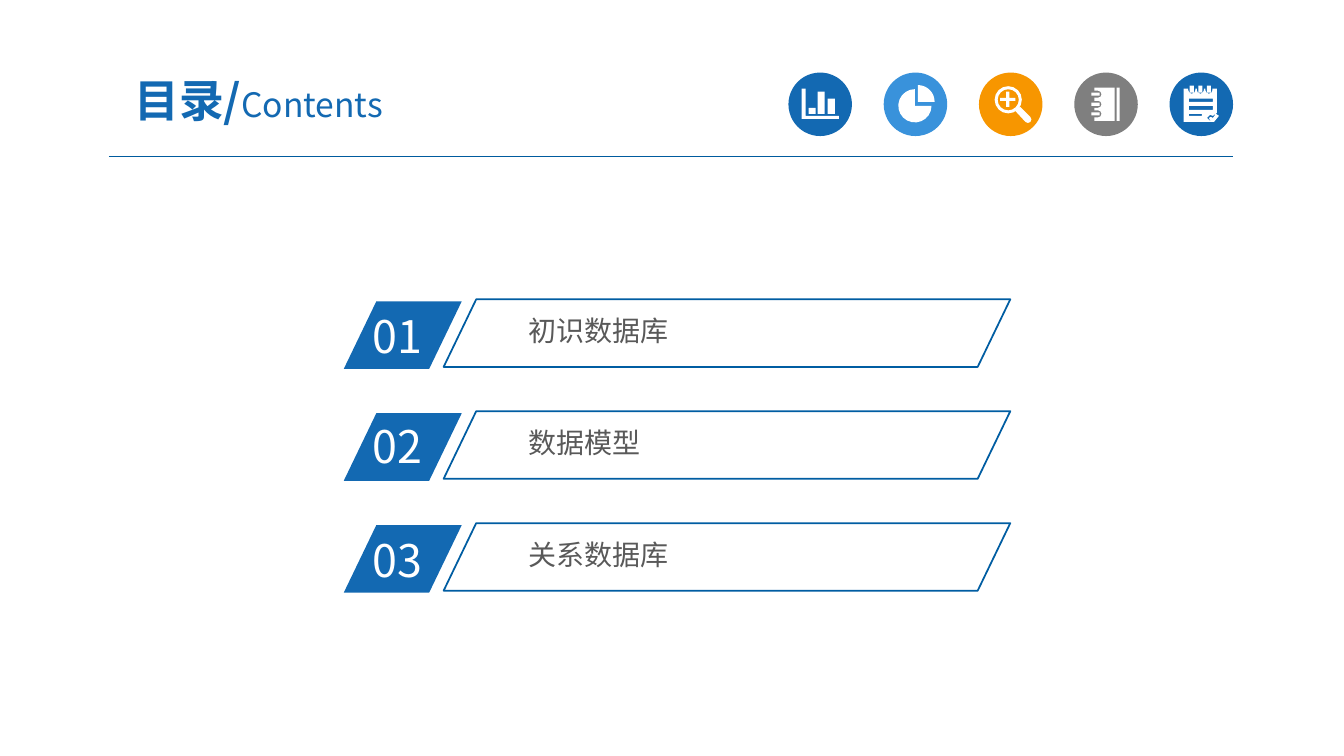
from dataclasses import dataclass
from math import cos, radians, sin

from lxml import etree
from pptx import Presentation
from pptx.dml.color import RGBColor
from pptx.enum.shapes import MSO_CONNECTOR, MSO_SHAPE
from pptx.enum.text import MSO_ANCHOR, MSO_AUTO_SIZE, PP_ALIGN
from pptx.oxml.ns import qn
from pptx.util import Inches, Pt

OVAL, SLANTED = MSO_SHAPE.OVAL, MSO_SHAPE.PARALLELOGRAM
STRAIGHT = MSO_CONNECTOR.STRAIGHT
MIDDLE, CENTER = MSO_ANCHOR.MIDDLE, PP_ALIGN.CENTER
GROW, FIXED = MSO_AUTO_SIZE.SHAPE_TO_FIT_TEXT, MSO_AUTO_SIZE.NONE

BLUE = RGBColor(0x13, 0x69, 0xB2)
SKY = RGBColor(0x39, 0x92, 0xDB)
ORANGE = RGBColor(0xF7, 0x96, 0x00)
GRAY = RGBColor(0x7F, 0x7F, 0x7F)
WHITE = RGBColor(0xFF, 0xFF, 0xFF)
RULE_BLUE = RGBColor(0x00, 0x5B, 0x9E)
FRAME_BLUE = RGBColor(0x00, 0x5D, 0xA2)
TEXT_GRAY = RGBColor(0x59, 0x59, 0x59)
FONT = "Noto Sans CJK SC"

Contour = list[tuple[float, float]]


@dataclass
class Icon:
    color: RGBColor
    contours: list[Contour]


@dataclass
class Entry:
    number: str
    label: str
    number_top: float


# Outline helpers, in inches from the corner of an icon's disc
def arc(x: float, y: float, radius: float, start: int, end: int) -> Contour:
    steps = 16 if radius > 0.1 else 4
    angles = [radians(start + (end - start) * i / steps) for i in range(steps + 1)]
    return [(x + radius * cos(a), y + radius * sin(a)) for a in angles]


def bar(left: float, top: float, width: float, height: float) -> Contour:
    right, bottom = left + width, top + height
    return [(left, top), (right, top), (right, bottom), (left, bottom)]


def chart_icon() -> list[Contour]:
    axes = [(0.13, 0.16), (0.17, 0.16), (0.17, 0.43), (0.5, 0.43), (0.5, 0.46), (0.13, 0.46)]
    columns = [(0.2, 0.35), (0.29, 0.19), (0.39, 0.26)]
    return [axes] + [bar(left, top, 0.07, 0.41 - top) for left, top in columns]


def pie_icon() -> list[Contour]:
    return [[(0.34, 0.29)] + arc(0.34, 0.29, 0.165, 270, 360),
            [(0.31, 0.33)] + arc(0.31, 0.33, 0.165, 0, 270)]


def magnifier_icon() -> list[Contour]:
    handle = [(0.41, 0.34)] + arc(0.485, 0.465, 0.035, -45, 135) + [(0.36, 0.38)]
    plus = [(0.21, 0.25), (0.27, 0.25), (0.27, 0.19), (0.3, 0.19), (0.3, 0.25), (0.36, 0.25),
            (0.36, 0.28), (0.3, 0.28), (0.3, 0.34), (0.27, 0.34), (0.27, 0.28), (0.21, 0.28)]
    return [arc(0.29, 0.27, 0.135, 0, 360), arc(0.29, 0.27, 0.105, 0, 360), handle, plus]


def notebook_icon() -> list[Contour]:
    rings = [0.215, 0.315, 0.41]
    cover = [(0.4, 0.48), (0.4, 0.15), (0.2, 0.15)]
    for y in rings:
        cover += [(0.2, y - 0.035)] + arc(0.235, y, 0.035, -90, 90) + [(0.2, y + 0.035)]
    cover.append((0.2, 0.48))
    return [cover, bar(0.42, 0.15, 0.03, 0.33)] + [bar(0.17, y - 0.015, 0.08, 0.03) for y in rings]


def notepad_icon() -> list[Contour]:
    rings = [0.22, 0.305, 0.39]
    sheet = [(0.14, 0.16)]
    for x in rings:
        sheet += [(x - 0.035, 0.16)] + arc(x, 0.175, 0.035, 180, 0) + [(x + 0.035, 0.16)]
    sheet += [(0.47, 0.16), (0.47, 0.4), (0.43, 0.43), (0.4, 0.42), (0.37, 0.45),
              (0.41, 0.49), (0.14, 0.49)]
    tick = [(0.39, 0.45), (0.41, 0.44), (0.43, 0.45), (0.46, 0.41), (0.49, 0.43),
            (0.44, 0.49), (0.41, 0.49)]
    lines = [bar(0.19, 0.26, 0.24, 0.03), bar(0.19, 0.33, 0.24, 0.04), bar(0.19, 0.41, 0.13, 0.02)]
    return [sheet, tick] + lines + [bar(x - 0.02, 0.13, 0.04, 0.07) for x in rings]


ICONS = [Icon(BLUE, chart_icon()), Icon(SKY, pie_icon()), Icon(ORANGE, magnifier_icon()),
         Icon(GRAY, notebook_icon()), Icon(BLUE, notepad_icon())]
ENTRIES = [Entry("01", "初识数据库", 3.01), Entry("02", "数据模型", 4.1),
           Entry("03", "关系数据库", 5.24)]


def add_span(para, text: str, size: int, color: RGBColor, bold: bool = False) -> None:
    span = para.add_run()
    span.text = text
    span.font.size, span.font.bold, span.font.name = Pt(size), bold, FONT
    span.font.color.rgb = color
    etree.SubElement(span._r.get_or_add_rPr(), qn("a:ea"), typeface=FONT)


def set_frame(frame, auto_size: MSO_AUTO_SIZE, side: float, end: float) -> None:
    frame.word_wrap, frame.auto_size = True, auto_size
    frame.margin_left = frame.margin_right = Inches(side)
    frame.margin_top = frame.margin_bottom = Inches(end)


def add_label(page, left: float, top: float, width: float, height: float, text: str,
              size: int, color: RGBColor, inset: tuple[float, float]) -> None:
    box = page.shapes.add_textbox(Inches(left), Inches(top), Inches(width), Inches(height))
    set_frame(box.text_frame, GROW, *inset)
    add_span(box.text_frame.paragraphs[0], text, size, color)


def fill_plain(shape, color: RGBColor) -> None:
    shape.shadow.inherit = False
    shape.fill.solid()
    shape.fill.fore_color.rgb = color
    shape.line.fill.background()


def add_slanted(page, left: float, top: float, width: float):
    shape = page.shapes.add_shape(SLANTED, Inches(left), Inches(top), Inches(width), Inches(0.67))
    shape.adjustments[0] = 0.482
    return shape


def draw_icon(page, icon: Icon, left: float, top: float) -> None:
    size = Inches(0.63)
    fill_plain(page.shapes.add_shape(OVAL, Inches(left), Inches(top), size, size), icon.color)
    builder = None
    for contour in icon.contours:
        points = [(Inches(left + x), Inches(top + y)) for x, y in contour]
        if builder is None:
            builder = page.shapes.build_freeform(*points[0])
        else:
            builder.move_to(*points[0])
        builder.add_line_segments(points[1:], close=True)
    fill_plain(builder.convert_to_shape(), WHITE)


def draw_entry(page, entry: Entry, top: float) -> None:
    fill_plain(add_slanted(page, 3.41, top + 0.02, 1.17), BLUE)
    add_label(page, 3.6, entry.number_top, 1.12, 0.64, entry.number, 32, WHITE, (0.1, 0.05))
    add_label(page, 5.17, top + 0.1, 4.12, 0.43, entry.label, 20, TEXT_GRAY, (0.07, 0.04))
    panel = add_slanted(page, 4.4, top, 5.62)
    panel.shadow.inherit = False
    panel.fill.background()
    panel.line.color.rgb = FRAME_BLUE
    panel.line.width = Pt(1.25)


def main() -> None:
    deck = Presentation()
    deck.slide_width, deck.slide_height = Inches(13.33), Inches(7.5)
    page = deck.slides.add_slide(deck.slide_layouts[5])

    # Header rule and icons
    rule = page.shapes.add_connector(STRAIGHT, Inches(1.08), Inches(1.55),
                                     Inches(12.23), Inches(1.55))
    rule.line.color.rgb = RULE_BLUE
    rule.line.width = Pt(0.75)
    etree.SubElement(rule._element.spPr, qn("a:effectLst"))
    for index, icon in enumerate(ICONS):
        draw_icon(page, icon, 7.82 + 0.945 * index, 0.72)

    # Title
    title = page.shapes.title
    title.left, title.top = Inches(0.92), Inches(0.63)
    title.width, title.height = Inches(3.29), Inches(0.72)
    title.text_frame.vertical_anchor = MIDDLE
    set_frame(title.text_frame, FIXED, 0.13, 0.07)
    para = title.text_frame.paragraphs[0]
    para.alignment, para.space_before = CENTER, Pt(0)
    add_span(para, "目录/", 32, BLUE, bold=True)
    add_span(para, "Contents", 24, BLUE)

    # Contents list
    for index, entry in enumerate(ENTRIES):
        draw_entry(page, entry, 2.97 + 1.11 * index)

    deck.save("out.pptx")


if __name__ == "__main__":
    main()
